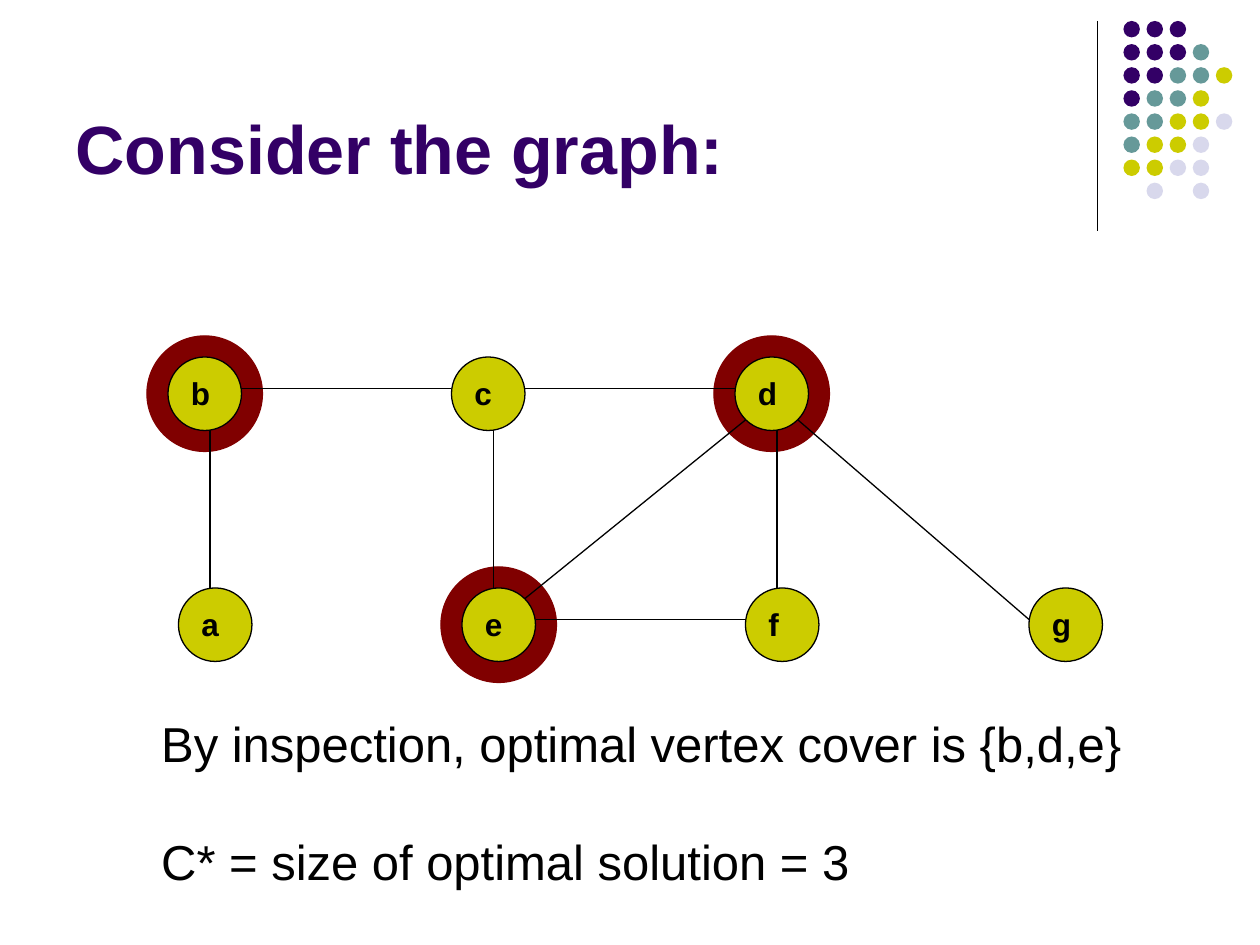
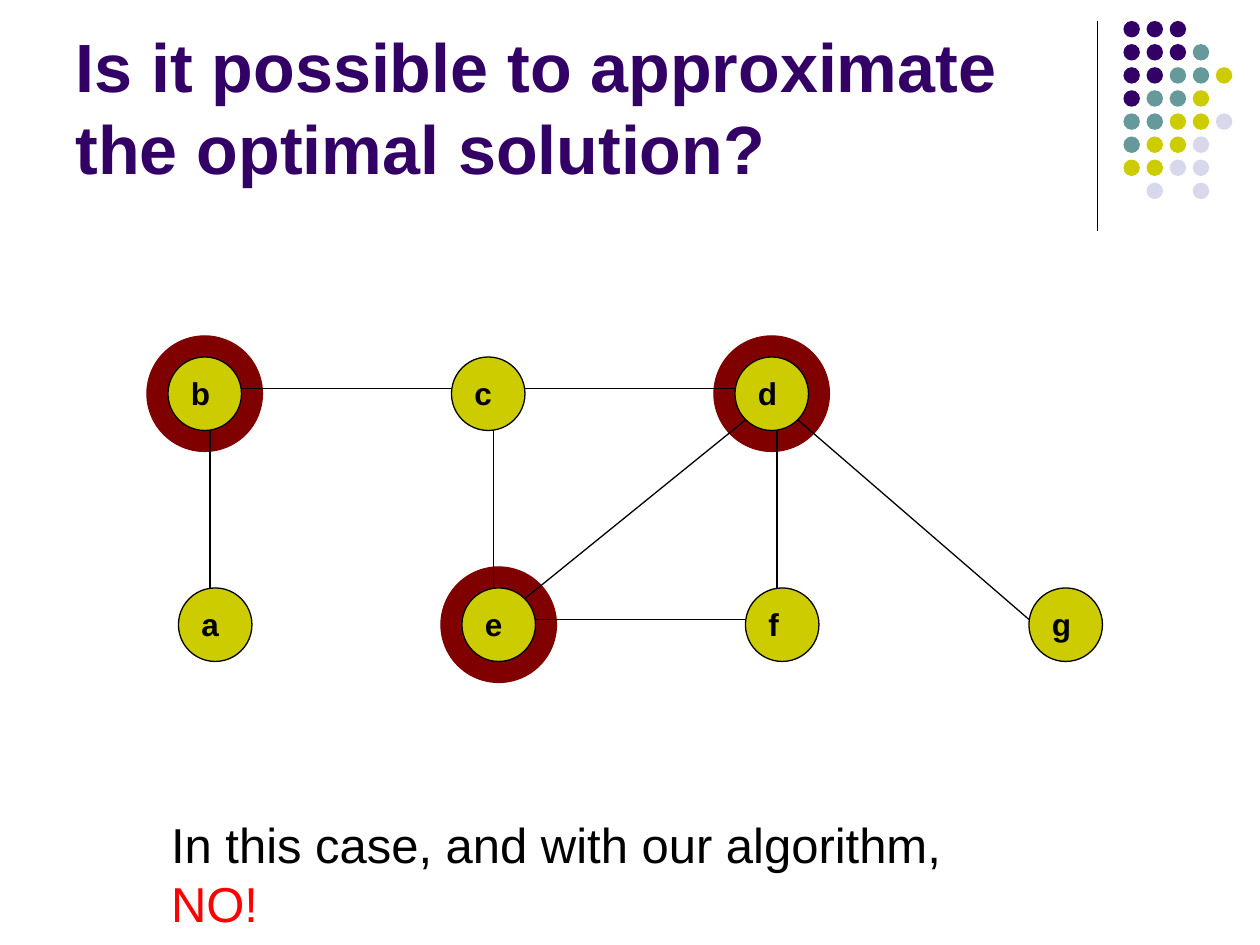
from pptx import Presentation
from pptx.dml.color import RGBColor
from pptx.enum.shapes import MSO_CONNECTOR as Connector, MSO_SHAPE as Shape
from pptx.enum.text import MSO_ANCHOR as Anchor, MSO_AUTO_SIZE as AutoSize, PP_ALIGN as Align
from pptx.oxml.ns import qn
from pptx.util import Pt
from lxml import etree

# Content: title, then caption box (left, top, width, height) and its paragraphs of (text, colour)
SLIDES = [
    {"title": "Consider the graph:",
     "caption_at": (85, 404, 563, 108),
     "caption": [[("By inspection, optimal vertex cover is {b,d,e}", "black")],
                 [("C* = size of optimal solution = 3", "black")]]},
    {"title": "Is it possible to approximate the optimal solution?",
     "caption_at": (90.7, 462.2, 511.2, 41),
     "caption": [[("In this case, and with our algorithm, ", "black"), ("NO!", "red")]]},
]

# Graph: rows of vertices as (left, top, names), the cover, and edges between vertex ports
VERTEX_ROWS = [(96, 204, "bcd"), (102, 336, "aefg")]
COVER = "edb"
EDGES = [
    ("b", "bottom", "a", "top"),
    ("c", "bottom", "e", "top"),
    ("d", "bottom", "f", "top"),
    ("b", "right", "c", "left"),
    ("c", "right", "d", "left"),
    ("e", "right", "f", "left"),
    ("e", "upper right", "d", "lower left"),
    ("d", "lower right", "g", "left"),
]
PORTS = {"top": (18, 0), "bottom": (24, 42), "left": (0, 18), "right": (42, 18),
         "upper right": (36, 6), "lower left": (6, 36), "lower right": (36, 36)}

# Corner ornament: one letter per dot
DOT_ROWS = ["ppp", "pppt", "pptty", "ptty", "ttyyl", "tyyl", "yyll", " l l"]
DOT_COLORS = {"p": "purple", "t": "teal", "y": "yellow", "l": "lavender"}

COLORS = {"black": "000000", "red": "FF0000", "maroon": "800000", "purple": "330066",
          "teal": "669999", "yellow": "CCCC00", "lavender": "D8D8EC"}
TITLE = {"size": Pt(39), "bold": True}
LABEL = {"size": Pt(18), "bold": True}
CAPTION = {"size": Pt(28), "bold": False}
COLUMN_STEP, VERTEX_SIZE, RING_MARGIN, LABEL_INSET = 162, 42, 12, 6
DOT_LEFT, DOT_TOP, DOT_STEP, DOT_SIZE = 642, 12, 13.2, 9.4

VERTICES = {name: (left + column * COLUMN_STEP, top)
            for left, top, names in VERTEX_ROWS
            for column, name in enumerate(names)}


def rgb(color):
    return RGBColor.from_string(COLORS[color])


def add_span(para, text, color, style):
    span = para.add_run()
    span.text = text
    for name, value in {"name": "Arial", **style}.items():
        setattr(span.font, name, value)
    span.font.color.rgb = rgb(color)


def add_circle(page, left, top, size, fill, line=None):
    circle = page.shapes.add_shape(Shape.OVAL, Pt(left), Pt(top), Pt(size), Pt(size))
    circle.shadow.inherit = False
    circle.fill.solid()
    circle.fill.fore_color.rgb = rgb(fill)
    if line:
        circle.line.color.rgb = rgb(line)
        circle.line.width = Pt(0.75)
    else:
        circle.line.fill.background()


def add_line(page, start, end):
    line = page.shapes.add_connector(Connector.STRAIGHT, *map(Pt, start + end))
    line.line.color.rgb = rgb("black")
    line.line.width = Pt(0.75)
    etree.SubElement(line._element.spPr, qn("a:effectLst"))


def add_text(page, at, paragraphs, style, wrap, gap=0):
    box = page.shapes.add_textbox(*map(Pt, at))
    frame = box.text_frame
    frame.word_wrap = wrap
    frame.auto_size = AutoSize.SHAPE_TO_FIT_TEXT
    for index, spans in enumerate(paragraphs):
        para = frame.add_paragraph() if index else frame.paragraphs[0]
        para.space_before = Pt(gap if index else 0)
        for text, color in spans:
            add_span(para, text, color, style)


def set_title(page, text):
    title = page.shapes.title
    place = {"left": 36, "top": 9, "width": 594, "height": 102}
    for name, value in place.items():
        setattr(title, name, Pt(value))
    frame = title.text_frame
    frame.vertical_anchor = Anchor.BOTTOM
    frame.auto_size = AutoSize.NONE
    frame.word_wrap = True
    frame.paragraphs[0].alignment = Align.LEFT
    add_span(frame.paragraphs[0], text, "purple", TITLE)


def draw_ornament(page):
    add_line(page, (627, 12), (627, 132))
    for row, dots in enumerate(DOT_ROWS):
        for column, dot in enumerate(dots):
            if dot in DOT_COLORS:
                add_circle(page, DOT_LEFT + column * DOT_STEP, DOT_TOP + row * DOT_STEP,
                           DOT_SIZE, DOT_COLORS[dot])


def port(vertex, side):
    return tuple(a + b for a, b in zip(VERTICES[vertex], PORTS[side]))


def draw_graph(page):
    # Rings mark the vertex cover
    for name in COVER:
        left, top = VERTICES[name]
        add_circle(page, left - RING_MARGIN, top - RING_MARGIN,
                   VERTEX_SIZE + 2 * RING_MARGIN, "maroon", "maroon")
    # Vertices with their labels
    for name, (left, top) in VERTICES.items():
        add_circle(page, left, top, VERTEX_SIZE, "yellow", "black")
        add_text(page, (left + LABEL_INSET, top + LABEL_INSET, 30, 29),
                 [[(name, "black")]], LABEL, wrap=True)
    # Edges
    for start, start_side, end, end_side in EDGES:
        add_line(page, port(start, start_side), port(end, end_side))


def main():
    deck = Presentation()
    deck.slide_width, deck.slide_height = Pt(720), Pt(540)
    for content in SLIDES:
        page = deck.slides.add_slide(deck.slide_layouts[5])
        draw_ornament(page)
        set_title(page, content["title"])
        draw_graph(page)
        add_text(page, content["caption_at"], content["caption"], CAPTION, wrap=False, gap=34)
    deck.save("out.pptx")


if __name__ == "__main__":
    main()
